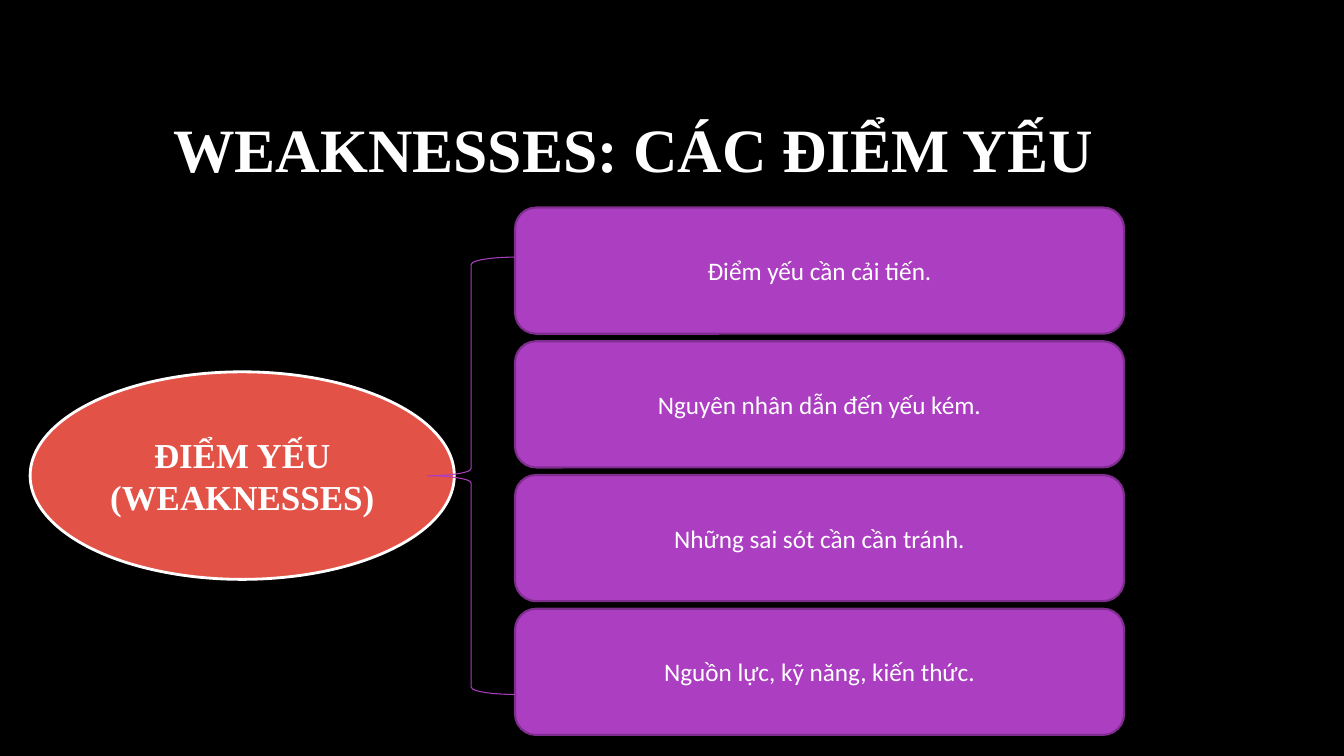
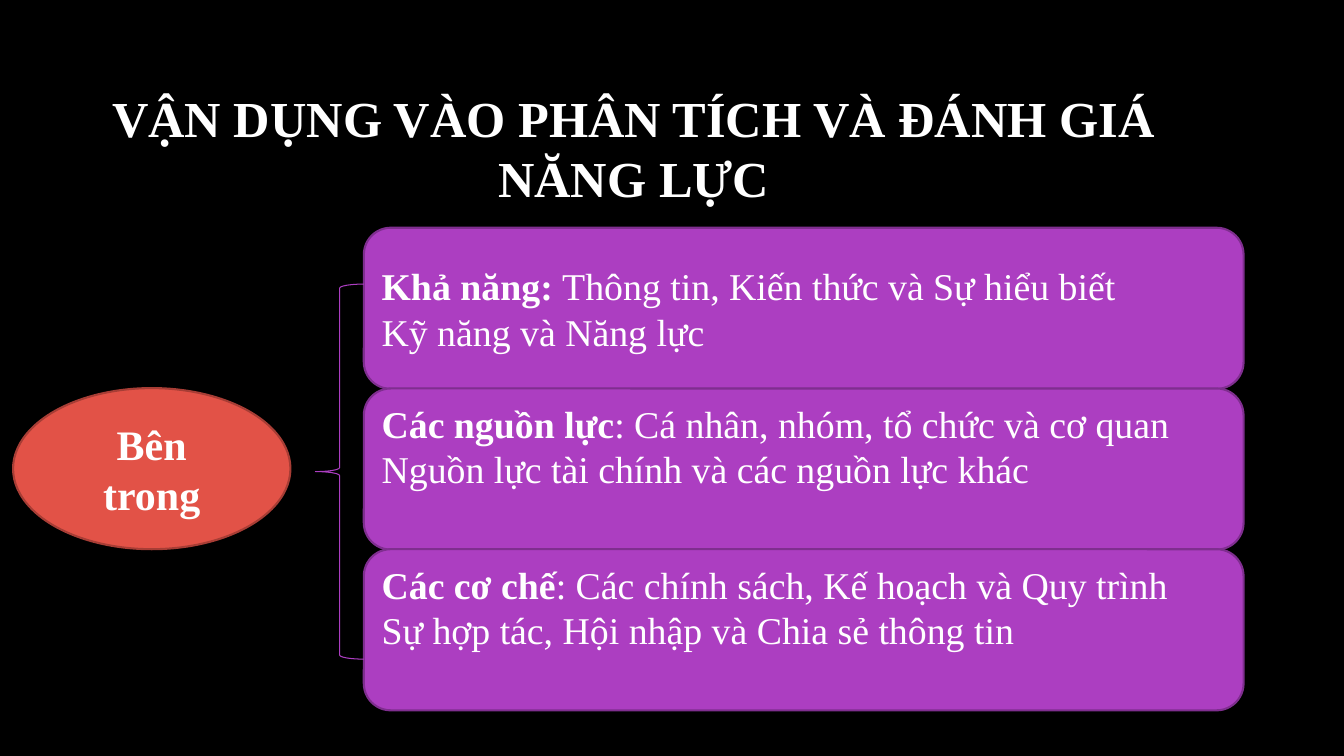
from pptx import Presentation
from pptx.dml.color import RGBColor
from pptx.enum.shapes import MSO_SHAPE
from pptx.enum.text import MSO_ANCHOR, MSO_AUTO_SIZE, PP_ALIGN
from pptx.util import Cm, Pt

# Colours and fonts
BLACK = RGBColor(0x00, 0x00, 0x00)
WHITE = RGBColor(0xFF, 0xFF, 0xFF)
RED = RGBColor(0xE2, 0x52, 0x47)
DARK_RED = RGBColor(0xA7, 0x3D, 0x35)
PURPLE = RGBColor(0xAC, 0x3E, 0xC1)
DARK_PURPLE = RGBColor(0x7F, 0x2E, 0x8F)
SERIF = "Times New Roman"
SANS = "Calibri"


class SwotDeck:
    """Holds the shared style and the current slide."""

    def __init__(self):
        self.deck = Presentation()
        self.deck.slide_width, self.deck.slide_height = Cm(33.87), Cm(19.05)
        background = self.deck.slide_master.background.fill
        background.solid()
        background.fore_color.rgb = BLACK
        self.page = None

    def new_page(self, title, size):
        """Start a slide with its title in the template's placeholder."""
        self.page = self.deck.slides.add_slide(self.deck.slide_layouts[5])
        box = self.page.shapes.title
        place = {"left": 1.9, "top": 1.7, "width": 28.14, "height": 4.04}
        for name, value in place.items():
            setattr(box, name, Cm(value))
        self.set_text(box, [[(title, True)]], size)

    def set_text(self, box, lines, size, font=SERIF, align=PP_ALIGN.CENTER, bottom=0.13):
        """Fill a box with lines, each a list of (text, bold) spans."""
        frame = box.text_frame
        frame_format = {
            "word_wrap": True,
            "auto_size": MSO_AUTO_SIZE.NONE,
            "vertical_anchor": MSO_ANCHOR.MIDDLE,
            "margin_bottom": Cm(bottom),
        }
        for name, value in frame_format.items():
            setattr(frame, name, value)
        for index, line in enumerate(lines):
            para = frame.add_paragraph() if index else frame.paragraphs[0]
            para.alignment = align
            for text, bold in line:
                span = para.add_run()
                span.text = text
                span_format = {"name": font, "size": Pt(size), "bold": bold}
                for name, value in span_format.items():
                    setattr(span.font, name, value)
                span.font.color.rgb = WHITE

    def shape(self, kind, place, fill, line, line_width):
        """Add a flat preset shape; without a fill it is only an outline."""
        box = self.page.shapes.add_shape(kind, *map(Cm, place))
        box.shadow.inherit = False
        if fill is None:
            box.fill.background()
        else:
            box.fill.solid()
            box.fill.fore_color.rgb = fill
        box.line.color.rgb = line
        box.line.width = Pt(line_width)
        return box

    def topic(self, text, place, size, line, line_width):
        """Add the ellipse that names the subject."""
        box = self.shape(MSO_SHAPE.OVAL, place, RED, line, line_width)
        self.set_text(box, [[(text, True)]], size)

    def card_column(self, cards, place, pitch, **text_format):
        """Stack (lines, bottom margin) cards at equal steps."""
        left, top, width, height = place
        for row, (lines, bottom) in enumerate(cards):
            card_place = (left, top + row * pitch, width, height)
            box = self.shape(MSO_SHAPE.ROUNDED_RECTANGLE, card_place, PURPLE, DARK_PURPLE, 1.5)
            self.set_text(box, lines, bottom=bottom, **text_format)

    def brace(self, place):
        """Add the brace that gathers the cards."""
        self.shape(MSO_SHAPE.LEFT_BRACE, place, None, PURPLE, 0.75)


def main():
    swot = SwotDeck()

    # Weaknesses
    swot.new_page("WEAKNESSES: CÁC ĐIỂM YẾU", 44)
    swot.topic("ĐIỂM YẾU (WEAKNESSES)", (0.76, 9.37, 10.69, 5.23), 25, WHITE, 2)
    weaknesses = [
        "Điểm yếu cần cải tiến.",
        "Nguyên nhân dẫn đến yếu kém.",
        "Những sai sót cần cần tránh.",
        "Nguồn lực, kỹ năng, kiến thức.",
    ]
    cards = [([[(text, False)]], 0.13) for text in weaknesses]
    swot.card_column(cards, (12.98, 5.23, 15.35, 3.18), 3.37, size=18, font=SANS)
    swot.brace((10.77, 6.48, 2.21, 11.02))

    # Internal capacity
    swot.new_page("VẬN DỤNG VÀO PHÂN TÍCH VÀ ĐÁNH GIÁ NĂNG LỰC", 36)
    swot.topic("Bên trong", (0.33, 9.78, 6.99, 4.06), 30, DARK_RED, 1.5)
    capacities = [
        ("Khả năng: ", "Thông tin, Kiến thức và Sự hiểu biết",
         "Kỹ năng và Năng lực", 0.13),
        ("Các nguồn lực", ": Cá nhân, nhóm, tổ chức và cơ quan",
         "Nguồn lực tài chính và các nguồn lực khác", 1.28),
        ("Các cơ chế", ": Các chính sách, Kế hoạch và Quy trình",
         "Sự hợp tác, Hội nhập và Chia sẻ thông tin", 1.28),
    ]
    cards = [
        ([[(head, True), (rest, False)], [(second, False)]], bottom)
        for head, rest, second, bottom in capacities
    ]
    swot.card_column(cards, (9.17, 5.74, 22.17, 4.06), 4.05, size=27, align=PP_ALIGN.LEFT)
    swot.brace((7.95, 7.16, 1.22, 9.45))

    swot.deck.save("out.pptx")


if __name__ == "__main__":
    main()
